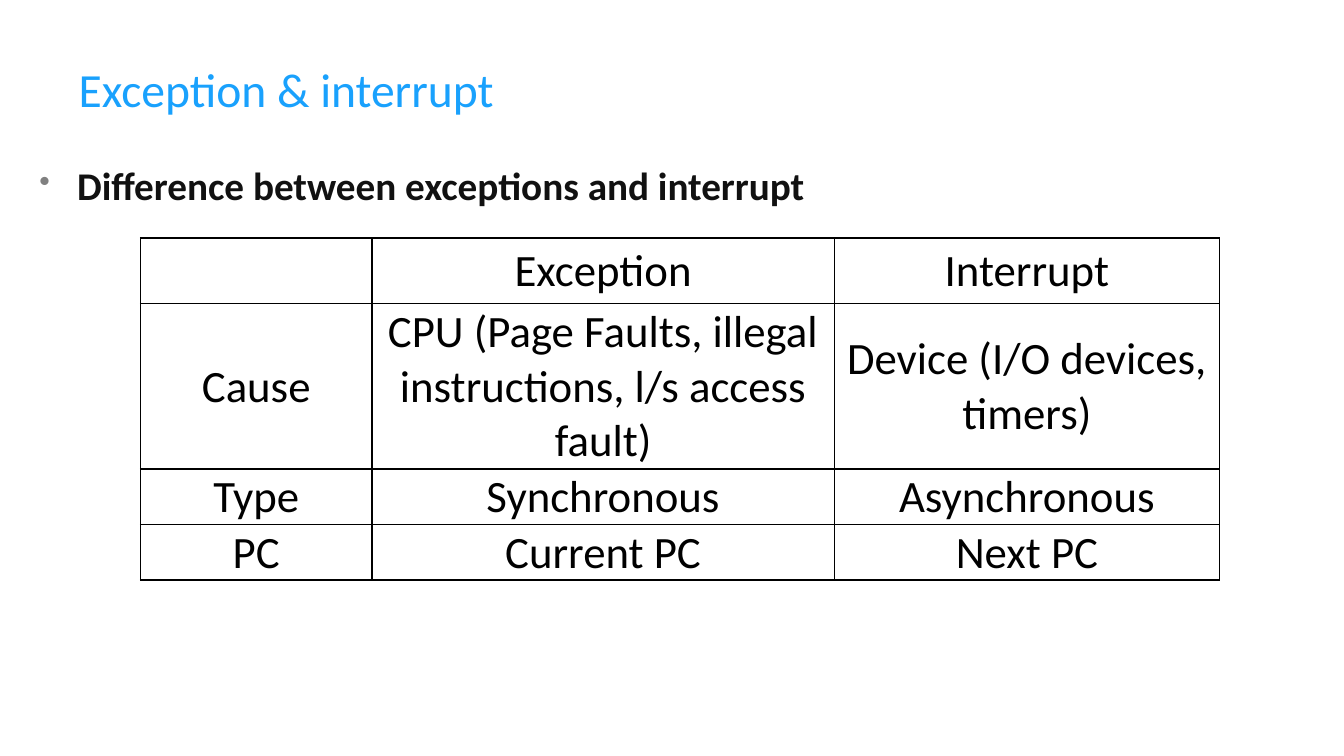
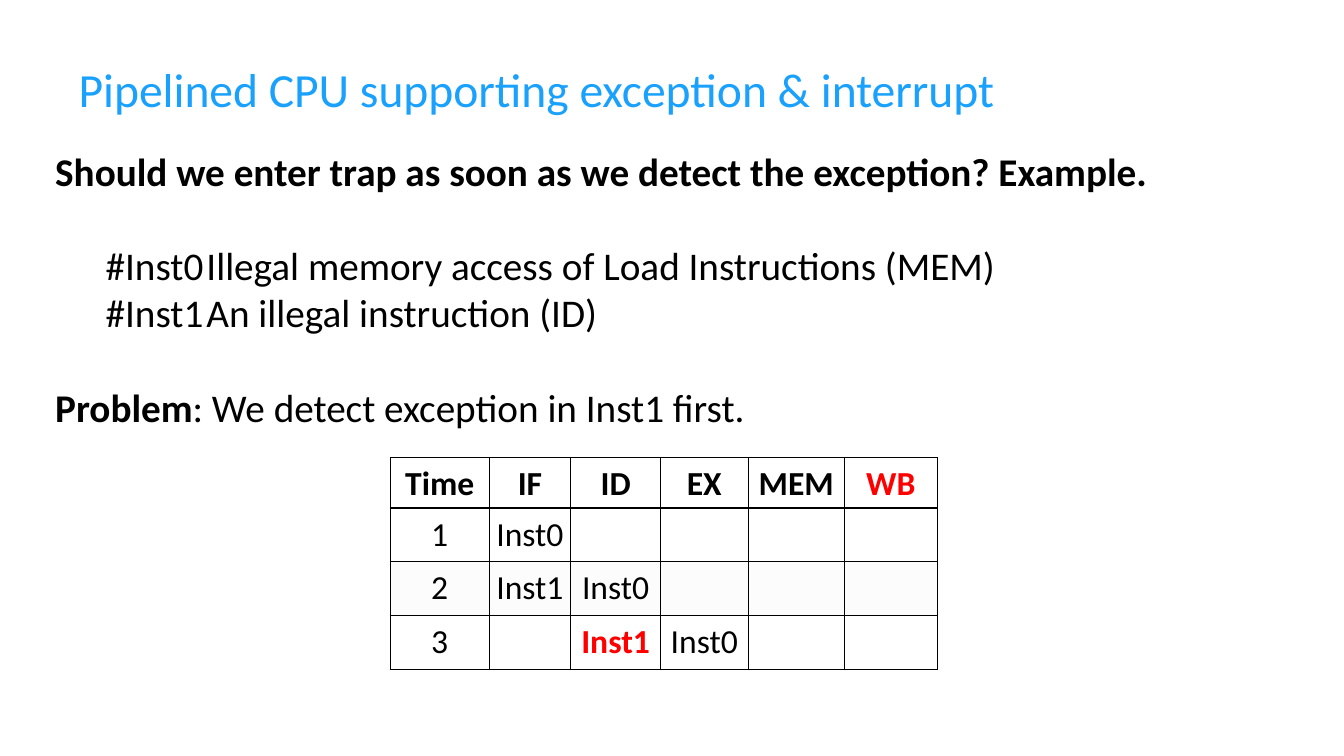
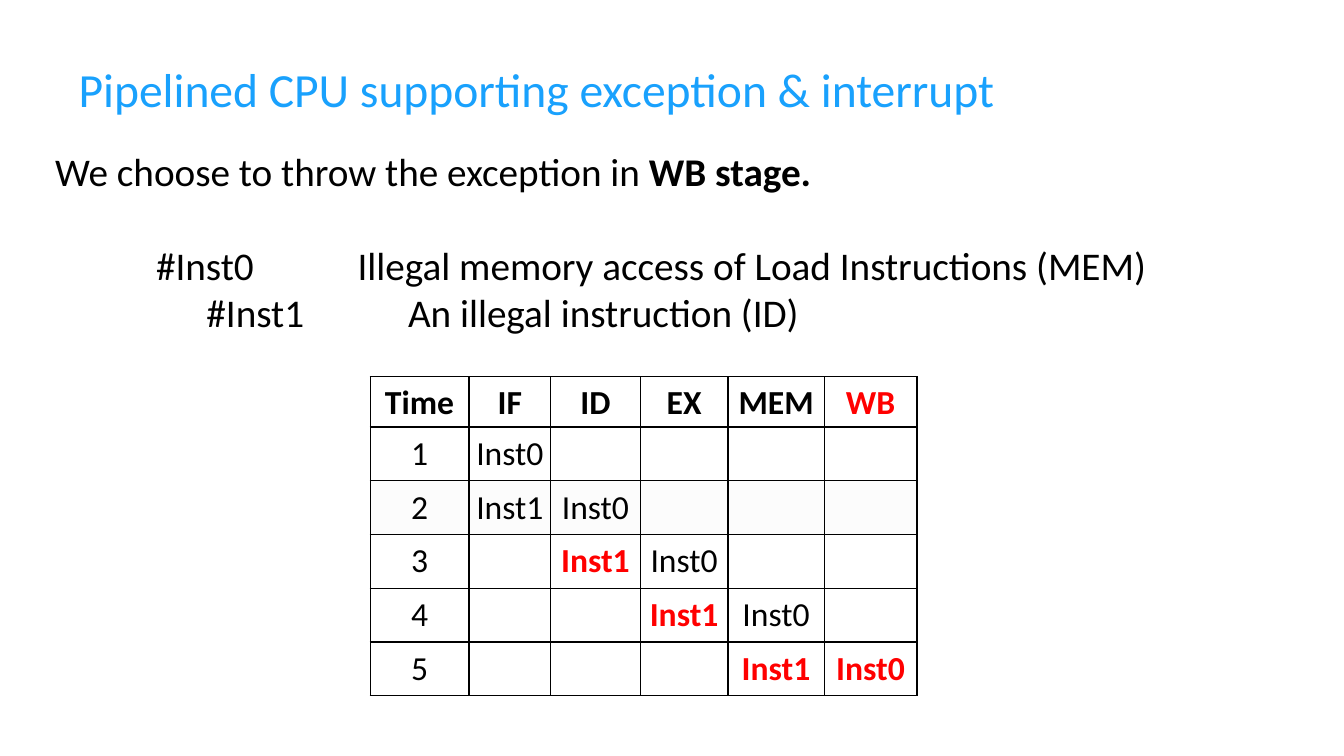
from lxml.etree import SubElement
from pptx import Presentation
from pptx.dml.color import RGBColor
from pptx.enum.text import MSO_ANCHOR, MSO_AUTO_SIZE, PP_ALIGN
from pptx.oxml.ns import qn
from pptx.util import Pt

SKY = RGBColor(0x19, 0xA1, 0xFD)
INK = RGBColor(0x11, 0x11, 0x11)
BLACK = RGBColor(0, 0, 0)
GREY = RGBColor(0x80, 0x80, 0x80)
RED = RGBColor(0xFF, 0, 0)
WHITE = RGBColor(0xFF, 0xFF, 0xFF)
PALE = RGBColor(0xFC, 0xFC, 0xFC)

FONT = "Calibri"
BODY_SIZE = 28
BLANK_LINE = 34
STAGES = ["IF", "ID", "EX", "MEM", "WB"]
STAGE_COLUMNS = [70.6, 58.4, 64, 62.7, 68.7, 66.3]
PIPELINE_TITLE = "Pipelined CPU supporting exception & interrupt"


class Deck:
    """Shared style and the slide being filled."""

    def __init__(self):
        self.deck = Presentation()
        self.deck.slide_width, self.deck.slide_height = Pt(960), Pt(540)
        self.slide = None

    def add_text(self, paragraph, text, size, color=BLACK, bold=False):
        run = paragraph.add_run()
        run.text = text
        run.font.name, run.font.size = FONT, Pt(size)
        run.font.bold, run.font.color.rgb = bold, color

    def start(self, heading):
        self.slide = self.deck.slides.add_slide(self.deck.slide_layouts[5])
        title = self.slide.shapes.title
        title.left, title.top, title.width, title.height = Pt(49), Pt(26), Pt(850), Pt(75)
        title.text_frame.vertical_anchor = MSO_ANCHOR.MIDDLE
        paragraph = title.text_frame.paragraphs[0]
        paragraph.alignment = PP_ALIGN.LEFT
        self.add_text(paragraph, heading, 34, SKY)

    def text_frame(self, left, top, width, height):
        frame = self.slide.shapes.add_textbox(Pt(left), Pt(top), Pt(width), Pt(height)).text_frame
        frame.word_wrap = True
        return frame

    def bullet(self, text, left, top, width, height):
        paragraph = self.text_frame(left, top, width, height).paragraphs[0]
        properties = paragraph._p.get_or_add_pPr()
        properties.set("marL", str(Pt(27)))
        properties.set("indent", str(-Pt(27)))
        SubElement(SubElement(properties, qn("a:buClr")), qn("a:srgbClr"), val=str(GREY))
        SubElement(properties, qn("a:buSzPct"), val="80000")
        SubElement(properties, qn("a:buChar"), char="•")
        self.add_text(paragraph, text, BODY_SIZE, INK, True)

    def body(self, lines, height):
        """Each line holds its space before, its tab stops and its (text, bold) runs."""
        frame = self.text_frame(32.4, 101.5, 822, height)
        frame.auto_size = MSO_AUTO_SIZE.SHAPE_TO_FIT_TEXT
        for number, (space, stops, runs) in enumerate(lines):
            paragraph = frame.add_paragraph() if number else frame.paragraphs[0]
            if stops:
                tabs = SubElement(paragraph._p.get_or_add_pPr(), qn("a:tabLst"))
                for stop in stops:
                    SubElement(tabs, qn("a:tab"), pos=str(Pt(stop)), algn="l")
            if space:
                paragraph.space_before = Pt(space)
            for text, bold in runs:
                self.add_text(paragraph, text, BODY_SIZE, bold=bold)

    def cell(self, cell, text, size, margins, fill, color, bold):
        properties = cell._tc.get_or_add_tcPr()
        for side in ("a:lnL", "a:lnR", "a:lnT", "a:lnB"):
            border = SubElement(properties, qn(side), w=str(Pt(1)))
            SubElement(SubElement(border, qn("a:solidFill")), qn("a:srgbClr"), val=str(BLACK))
        if fill is None:
            cell.fill.background()
        else:
            cell.fill.solid()
            cell.fill.fore_color.rgb = fill
        cell.vertical_anchor = MSO_ANCHOR.MIDDLE
        cell.margin_left = cell.margin_right = cell.margin_top = Pt(margins[0])
        cell.margin_bottom = Pt(margins[1])
        if text:
            paragraph = cell.text_frame.paragraphs[0]
            paragraph.alignment = PP_ALIGN.CENTER
            self.add_text(paragraph, text, size, color, bold)

    def table(self, left, top, columns, heights):
        table = self.slide.shapes.add_table(
            len(heights), len(columns), Pt(left), Pt(top), Pt(sum(columns)), Pt(sum(heights))).table
        table.first_row = table.horz_banding = False
        for column, width in zip(table.columns, columns):
            column.width = Pt(width)
        for row, height in zip(table.rows, heights):
            row.height = Pt(height)
        return table

    def comparison(self, rows):
        table = self.table(100.4, 170, [165.3, 330.3, 275.2], [47, 118, 39.7, 39.7])
        for r, row in enumerate(rows):
            for c, text in enumerate(row):
                self.cell(table.cell(r, c), text, 32, (0.6, 0), None, BLACK, False)

    def pipeline(self, left, top, cycles):
        """Inst0 enters at cycle 1 and Inst1 one cycle later."""
        table = self.table(left, top, STAGE_COLUMNS, [36] + [38.4] * cycles)
        for c, name in enumerate(["Time"] + STAGES):
            color = RED if name == "WB" else BLACK
            self.cell(table.cell(0, c), name, 24, (4.5, 2), WHITE, color, True)
        for time in range(1, cycles + 1):
            labels = {0: str(time), time: "Inst0"}
            if time > 1:
                labels[time - 1] = "Inst1"
            for c in range(len(STAGE_COLUMNS)):
                text = labels.get(c, "")
                trapped = (text == "Inst1" and c >= 2) or (text == "Inst0" and c == 5)
                self.cell(table.cell(time, c), text, 24, (4.5, 4.5),
                          PALE if time == 2 else WHITE, RED if trapped else BLACK, trapped)


def main():
    deck = Deck()
    load_fault = "\t#Inst0\tIllegal memory access of Load Instructions (MEM)"
    illegal = "\t#Inst1\tAn illegal instruction (ID)"

    deck.start("Exception & interrupt")
    deck.bullet("Difference between exceptions and interrupt", 21, 111.6, 564, 47.5)
    deck.comparison([
        ["", "Exception", "Interrupt"],
        ["Cause", "CPU (Page Faults, illegal instructions, l/s access fault)",
         "Device (I/O devices, timers)"],
        ["Type", "Synchronous", "Asynchronous"],
        ["PC", "Current PC", "Next PC"],
    ])

    deck.start(PIPELINE_TITLE)
    deck.body([
        (0, [], [("Should we enter trap as soon as we detect the exception? Example.", True)]),
        (BLANK_LINE, [36, 108], [(load_fault, False)]),
        (0, [36, 108], [(illegal, False)]),
        (BLANK_LINE, [], [("Problem", True), (": We detect exception in Inst1 first.", False)]),
    ], 211)
    deck.pipeline(278.8, 326.8, 3)

    deck.start(PIPELINE_TITLE)
    deck.body([
        (0, [], [("We choose to throw the exception in ", False), ("WB stage.", True)]),
        (BLANK_LINE, [72, 216], [(load_fault, False)]),
        (0, [108, 252], [(illegal, False)]),
    ], 143)
    deck.pipeline(264.4, 269, 5)

    deck.deck.save("out.pptx")


if __name__ == "__main__":
    main()
